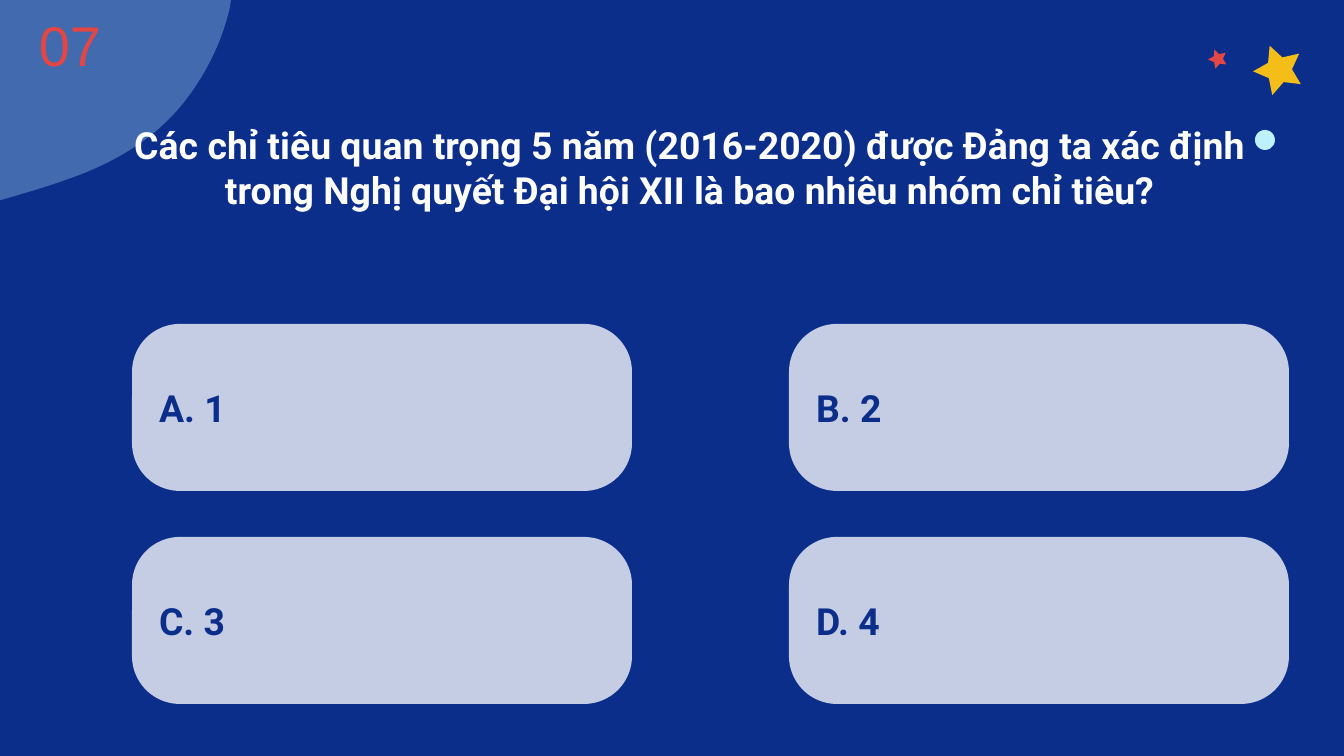
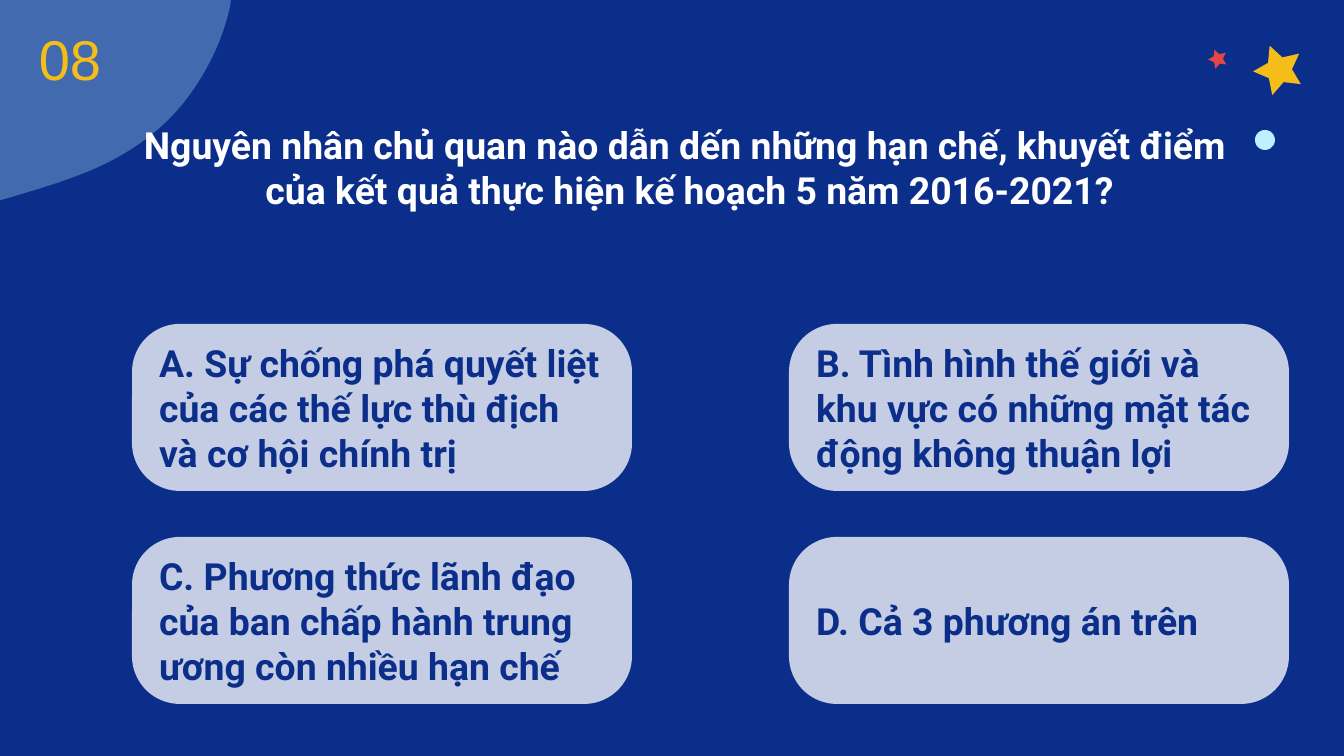
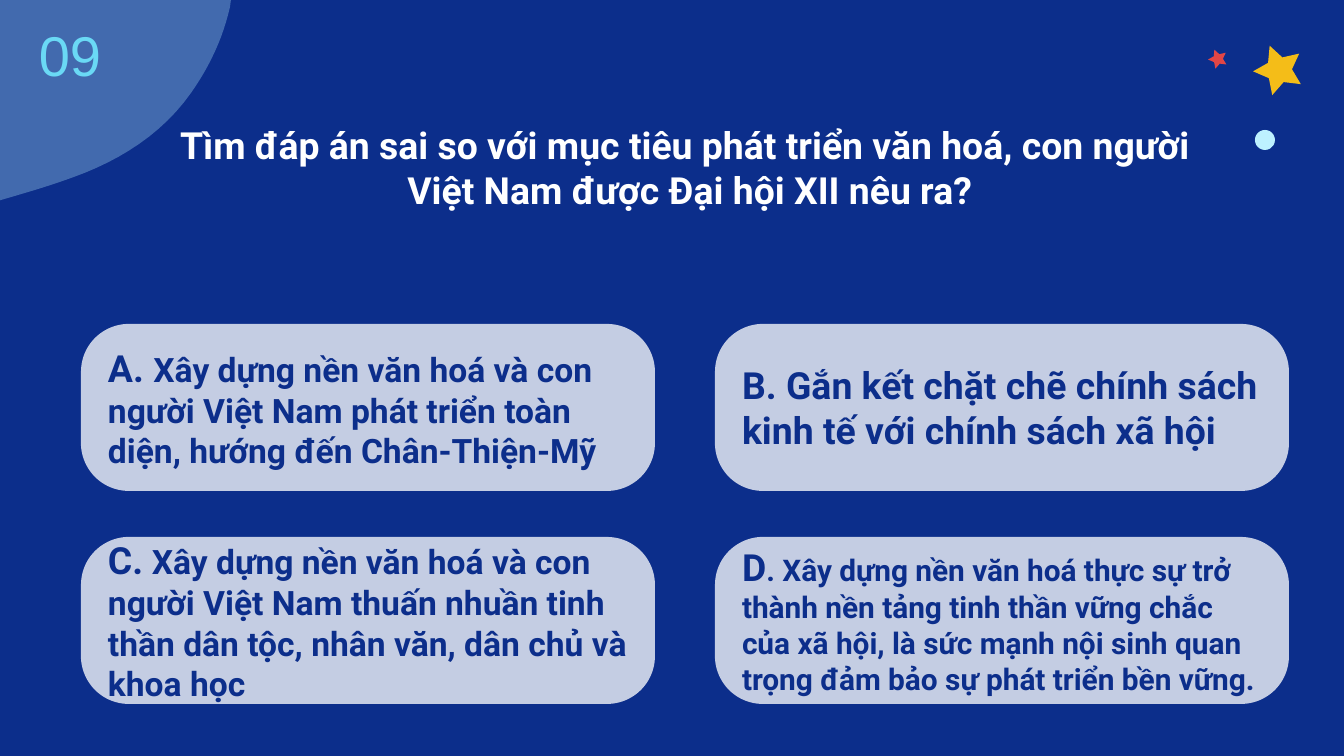
from math import cos, sin, radians
from pptx import Presentation
from pptx.dml.color import RGBColor as RGB
from pptx.enum.shapes import MSO_SHAPE as SHAPE
from pptx.enum.text import MSO_ANCHOR as ANCHOR, MSO_AUTO_SIZE as FIT, PP_ALIGN as ALIGN
from pptx.oxml import parse_xml
from pptx.oxml.ns import nsdecls
from pptx.util import Inches, Pt

WIDE, HIGH = 1344, 756
SCALE = Inches(10) / WIDE

NAVY = RGB(0x0C, 0x2E, 0x8B)
WHITE = RGB(0xFF, 0xFF, 0xFF)
RED = RGB(0xE2, 0x46, 0x45)
GOLD = RGB(0xF4, 0xBD, 0x18)
SKY = RGB(0x6A, 0xD9, 0xF5)
ICE = RGB(0xBD, 0xF1, 0xFF)

HEAD = dict(size=Pt(20), name="Roboto", bold=True)
BADGE = dict(size=Pt(30), name="Arial", bold=False)

# Boxes are left, top, width, height
TITLE = (90, 50, 1200, 189)
INSET, LINE = 13, 45
CARDS = (132, 324, 1157, 380)
BROAD = (81, 324, 1208, 380)

# Number, its top and colour, question, card area and width, answers as (text, size) runs
QUIZ = [
    ("07", 16, RED,
     "Các chỉ tiêu quan trọng 5 năm (2016-2020) được Đảng ta xác định "
     "trong Nghị quyết Đại hội XII là bao nhiêu nhóm chỉ tiêu?",
     CARDS, 500,
     [[("A. 1", 20)], [("B. 2", 20)], [("C. 3", 20)], [("D. 4", 20)]]),
    ("08", 30, GOLD,
     "Nguyên nhân chủ quan nào dẫn dến những hạn chế, khuyết điểm \v"
     "của kết quả thực hiện kế hoạch 5 năm 2016-2021?",
     CARDS, 500,
     [[("A. Sự chống phá quyết liệt của các thế lực thù địch và cơ hội chính trị", 20)],
      [("B. Tình hình thế giới và khu vực có những mặt tác động không thuận lợi", 20)],
      [("C. Phương thức lãnh đạo của ban chấp hành trung ương còn nhiều hạn chế", 20)],
      [("D. Cả 3 phương án trên", 20)]]),
    ("09", 26, SKY,
     "Tìm đáp án sai so với mục tiêu phát triển văn hoá, con người \v"
     "Việt Nam được Đại hội XII nêu ra?",
     BROAD, 574,
     [[("A. ", 20), ("Xây dựng nền văn hoá và con người Việt Nam phát triển toàn diện, "
                     "hướng đến Chân-Thiện-Mỹ", 18)],
      [("B. Gắn kết chặt chẽ chính sách kinh tế với chính sách xã hội", 20)],
      [("C.", 20), (" Xây dựng nền văn hoá và con người Việt Nam thuấn nhuần tinh thần "
                    "dân tộc, nhân văn, dân chủ và khoa học", 18)],
      [("D", 20), (". Xây dựng nền văn hoá thực sự trở thành nền tảng tinh thần vững chắc "
                   "của xã hội, là sức mạnh nội sinh quan trọng đảm bảo sự phát triển "
                   "bền vững.", 16)]]),
]


def px(n):
    return round(n * SCALE)


def put(obj, values):
    for key, val in values.items():
        setattr(obj, key, val)


def frame(shape, top=INSET):
    text = shape.text_frame
    put(text, dict(word_wrap=True, auto_size=FIT.NONE, vertical_anchor=ANCHOR.MIDDLE,
                   margin_left=px(INSET), margin_right=px(INSET),
                   margin_top=px(top), margin_bottom=px(INSET)))
    return text


def style(run, look, color):
    put(run.font, look)
    run.font.color.rgb = color


def paint(shape, color, alpha=None):
    shape.shadow.inherit = False
    shape.fill.solid()
    shape.fill.fore_color.rgb = color
    shape.line.fill.background()
    if alpha:
        tone = shape.element.xpath("./p:spPr/a:solidFill/a:srgbClr")[0]
        tone.append(parse_xml(f'<a:alpha {nsdecls("a")} val="{alpha * 1000}"/>'))
    return shape


def draw(shapes, points, color, alpha=None):
    spots = [(px(x), px(y)) for x, y in points]
    pen = shapes.build_freeform(*spots[0])
    pen.add_line_segments(spots[1:], close=True)
    return paint(pen.convert_to_shape(), color, alpha)


def curve(a, b, c, d, steps=12):
    for i in range(1, steps + 1):
        t = i / steps
        u = 1 - t
        yield tuple(u**3 * p + 3 * u*u*t * q + 3 * u*t*t * r + t**3 * s
                    for p, q, r, s in zip(a, b, c, d))


def blob(shapes):
    knots = [(233, -54), (234, -34), (233, -13), (230, 7), (223, 38), (210, 66), (191, 93),
             (163, 133), (121, 160), (74, 177), (36, 191), (-1, 200), (-39, 212)]
    edge = [knots[0]]
    for i in range(0, len(knots) - 1, 3):
        edge += curve(*knots[i:i + 4])
    return draw(shapes, edge + [(-39, -54)], ICE, 31)


def star(shapes, x, y, size, color):
    tips = []
    for i in range(10):
        turn = radians(33 + 36 * i)
        reach = size / 2 if i % 2 else size
        tips.append((x + reach * cos(turn), y + reach * sin(turn)))
    return draw(shapes, tips, color)


def decor(layout, slide):
    """Draw the shared ornaments and move them to the layout."""
    for spare in list(layout.placeholders)[1:]:
        spare.element.getparent().remove(spare.element)
    shapes = slide.shapes
    dot = shapes.add_shape(SHAPE.OVAL, *map(px, (1255, 130, 20, 20)))
    parts = [blob(shapes), star(shapes, 1279, 70, 26, GOLD),
             star(shapes, 1218, 59, 10, RED), paint(dot, ICE)]
    for part in parts:
        layout.shapes.element.append(part.element)


def title(slide, box, words):
    shape = slide.shapes.title
    put(shape, dict(zip(("left", "top", "width", "height"), map(px, box))))
    # The question sits one line below the middle band
    para = frame(shape, INSET + LINE).paragraphs[0]
    para.text = words
    para.alignment = ALIGN.CENTER
    for run in para.runs:
        style(run, HEAD, WHITE)


def badge(slide, box, label, color):
    para = frame(slide.shapes.add_textbox(*map(px, box))).paragraphs[0]
    para.alignment = ALIGN.CENTER
    run = para.add_run()
    run.text = label
    style(run, BADGE, color)


def card(slide, box, runs):
    shape = paint(slide.shapes.add_shape(SHAPE.ROUNDED_RECTANGLE, *map(px, box)), WHITE, 76)
    shape.adjustments[0] = 0.287
    para = frame(shape).paragraphs[0]
    para.alignment = ALIGN.LEFT
    for words, size in runs:
        run = para.add_run()
        run.text = words
        style(run, HEAD | dict(size=Pt(size)), NAVY)


def grid(slide, box, wide, answers, high=167):
    left, top, full, tall = box
    for i, runs in enumerate(answers):
        row, col = divmod(i, 2)
        card(slide, (left + col * (full - wide), top + row * (tall - high), wide, high), runs)


def main():
    prs = Presentation()
    prs.slide_width, prs.slide_height = px(WIDE), px(HIGH)
    # Shared background and title style
    master, layout = prs.slide_master, prs.slide_layouts[5]
    master.background.fill.solid()
    master.background.fill.fore_color.rgb = NAVY
    for base in master.element.xpath("./p:txStyles/p:titleStyle/a:lvl1pPr/a:defRPr"):
        base.set("sz", "2000")
    for i, (label, top, color, words, box, wide, answers) in enumerate(QUIZ):
        slide = prs.slides.add_slide(layout)
        if i == 0:
            decor(layout, slide)
        title(slide, TITLE, words)
        grid(slide, box, wide, answers)
        badge(slide, (9, top, 122, 56), label, color)
    prs.save("out.pptx")


if __name__ == "__main__":
    main()
